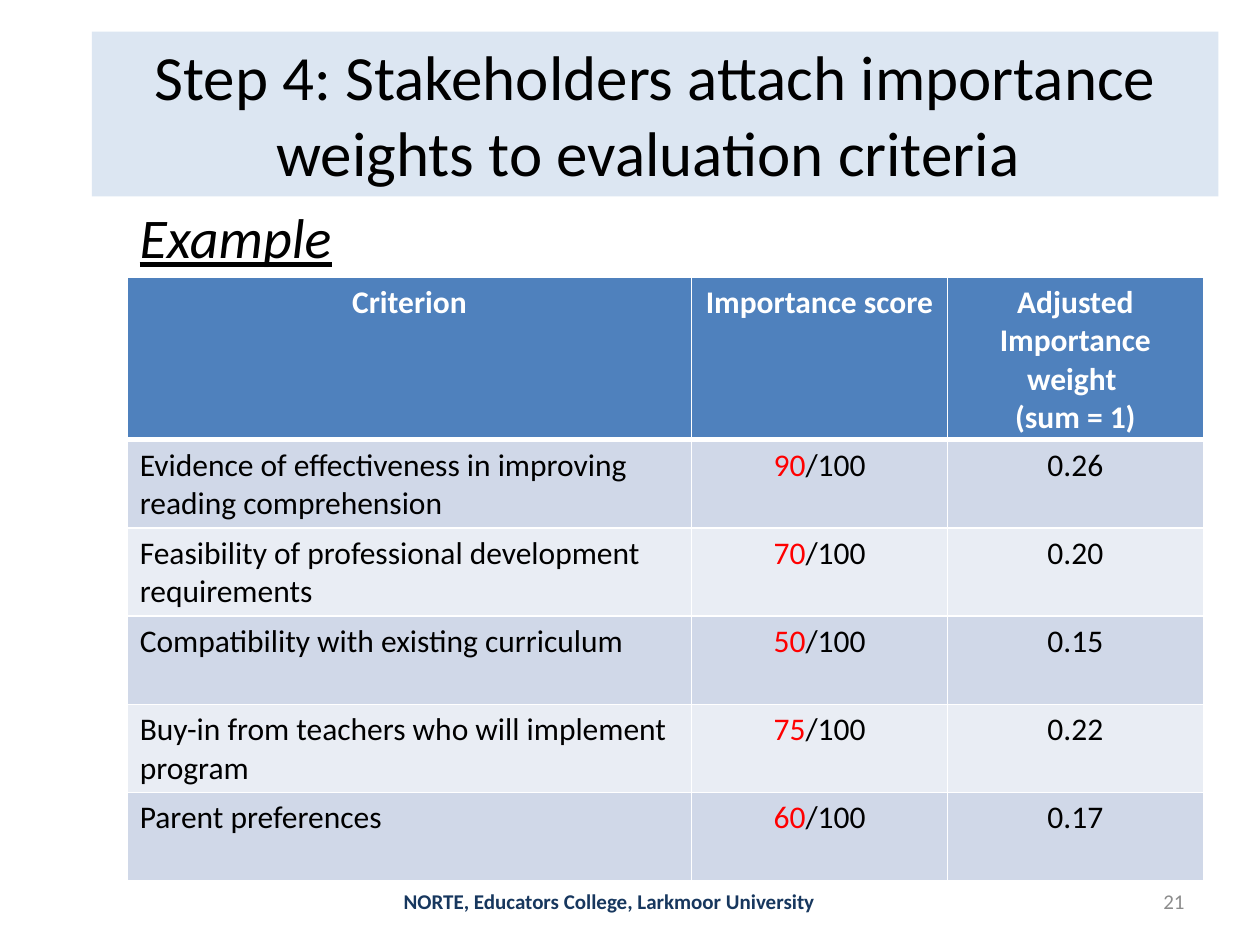
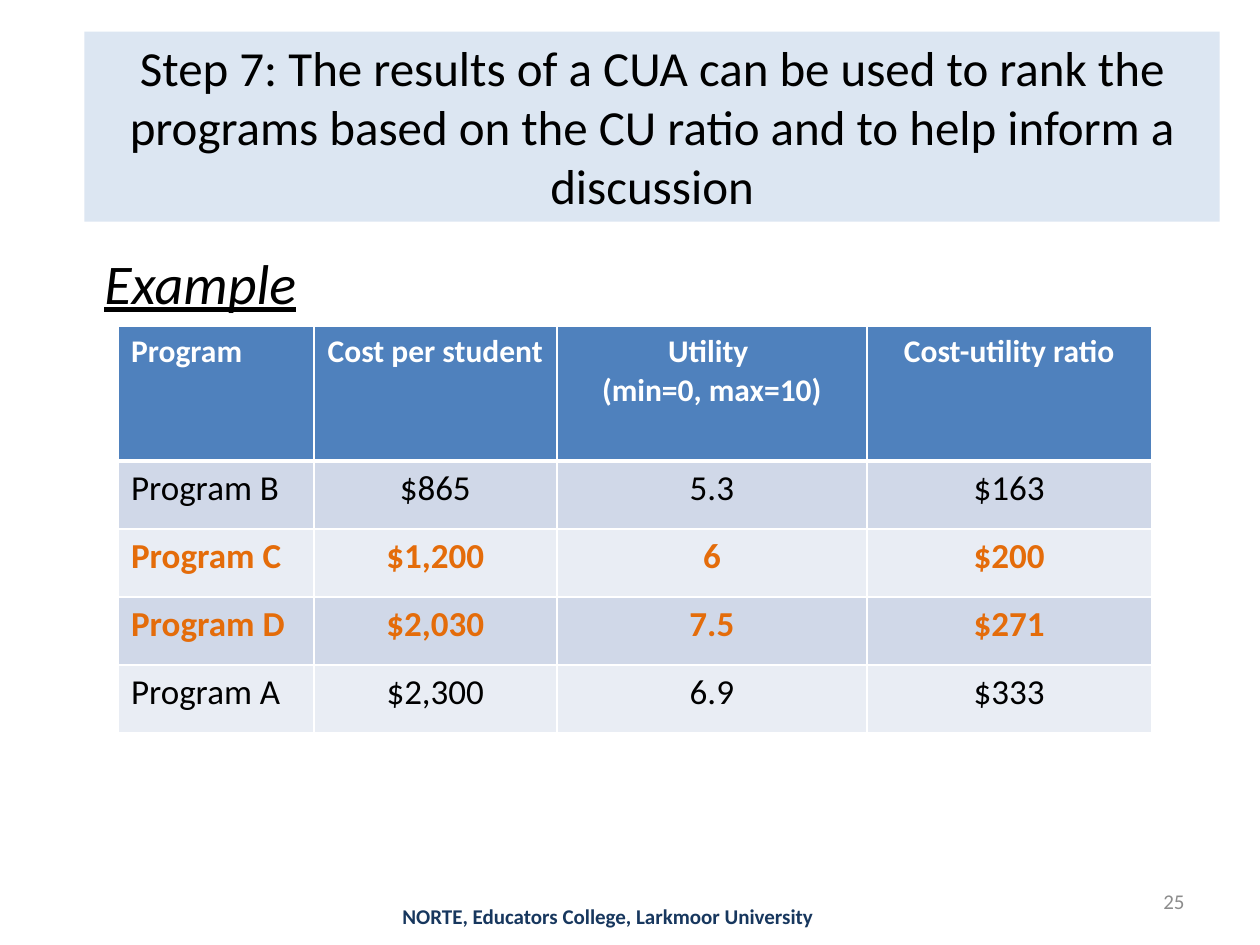
import pptx
import pptx.util
import pptx.dml.color
import pptx.enum.text
import pptx.oxml
import pptx.oxml.ns

Inches = pptx.util.Inches
ALIGN = pptx.enum.text.PP_ALIGN
ANCHOR = pptx.enum.text.MSO_ANCHOR
COLORS = {
    "band": "DCE6F2",
    "header": "4F81BD",
    "odd_row": "D0D8E8",
    "even_row": "E9EDF4",
    "white": "FFFFFF",
    "black": "000000",
    "score": "FF0000",
    "highlight": "E46C0A",
    "footer": "17375E",
    "number": "8C8C8C",
}
FOOTER = "NORTE, Educators College, Larkmoor University"
HEADER_RULE = (
    f'<a:lnB {pptx.oxml.ns.nsdecls("a")} w="38100"><a:solidFill>'
    f'<a:srgbClr val="{COLORS["white"]}"/></a:solidFill></a:lnB>'
)

slides = [
    {
        "title": "Step 4: Stakeholders attach importance weights to evaluation criteria ",
        "title_box": (0.73, 0.25, 8.94, 1.31),
        "title_size": 36,
        "example_box": (1.01, 1.56, 1.74, 0.64),
        "table_box": (1.01, 2.2, 8.54, 4.79),
        "columns": [4.48, 2.03, 2.03],
        "header_height": 1.29,
        "row_height": 0.7,
        "body_size": 18,
        "first_header_align": ALIGN.CENTER,
        "highlighted": [],
        "rows": [
            ["Criterion", "Importance score", "Adjusted Importance weight \n(sum = 1)"],
            ["Evidence of effectiveness in improving reading comprehension", "90/100", "0.26"],
            ["Feasibility of professional development requirements", "70/100", "0.20"],
            ["Compatibility with existing curriculum", "50/100", "0.15"],
            ["Buy-in from teachers who will implement program", "75/100", "0.22"],
            ["Parent preferences", "60/100", "0.17"],
        ],
        "footer_box": (3.09, 6.95, 3.49, 0.4),
        "number": "21",
    },
    {
        "title": "Step 7: The results of a CUA can be used to rank the programs based on the CU ratio and to help inform a discussion",
        "title_box": (0.67, 0.25, 9.01, 1.51),
        "title_size": 28,
        "example_box": (0.73, 1.92, 1.74, 0.64),
        "table_box": (0.94, 2.59, 8.2, 3.23),
        "columns": [1.55, 1.93, 2.46, 2.26],
        "header_height": 1.07,
        "row_height": 0.54,
        "body_size": 20,
        "first_header_align": ALIGN.LEFT,
        "highlighted": ["Program C", "Program D"],
        "rows": [
            ["Program", "Cost per student", "Utility \n(min=0, max=10)", "Cost-utility ratio"],
            ["Program B", "$865", "5.3", "$163"],
            ["Program C", "$1,200", "6", "$200"],
            ["Program D", "$2,030", "7.5", "$271"],
            ["Program A", "$2,300", "6.9", "$333"],
        ],
        "footer_box": (3.07, 7.19, 3.51, 0.16),
        "number": "25",
    },
]


def format_text(text_frame, size, color, align=ALIGN.LEFT, bold=False):
    for paragraph in text_frame.paragraphs:
        paragraph.alignment = align
        for run in paragraph.runs:
            run.font.name = "Calibri"
            run.font.size = pptx.util.Pt(size)
            run.font.bold = bold
            run.font.color.rgb = pptx.dml.color.RGBColor.from_string(COLORS[color])


def add_text(slide, box, text, anchor, wrap=True):
    shape = slide.shapes.add_textbox(*map(Inches, box))
    shape.text_frame.word_wrap = wrap
    shape.text_frame.vertical_anchor = anchor
    shape.text_frame.text = text
    return shape.text_frame


presentation = pptx.Presentation()
presentation.slide_width = Inches(10)
presentation.slide_height = Inches(7.5)

for content in slides:
    slide = presentation.slides.add_slide(presentation.slide_layouts[5])

    title = slide.shapes.title
    title.left, title.top, title.width, title.height = map(Inches, content["title_box"])
    title.fill.solid()
    title.fill.fore_color.rgb = pptx.dml.color.RGBColor.from_string(COLORS["band"])
    title.text_frame.text = content["title"]
    title.text_frame.vertical_anchor = ANCHOR.TOP
    title.text_frame.auto_size = pptx.enum.text.MSO_AUTO_SIZE.NONE
    format_text(title.text_frame, content["title_size"], "black", ALIGN.CENTER)

    rows = content["rows"]
    table = slide.shapes.add_table(
        len(rows), len(rows[0]), *map(Inches, content["table_box"])
    ).table
    for column, width in zip(table.columns, content["columns"]):
        column.width = Inches(width)
    for row_index, values in enumerate(rows):
        is_header = row_index == 0
        is_highlighted = values[0] in content["highlighted"]
        height = content["header_height"] if is_header else content["row_height"]
        table.rows[row_index].height = Inches(height)
        if is_header:
            fill, color, size = "header", "white", 18
        else:
            fill = "odd_row" if row_index % 2 else "even_row"
            color = "highlight" if is_highlighted else "black"
            size = content["body_size"]
        for column_index, value in enumerate(values):
            cell = table.cell(row_index, column_index)
            cell.margin_bottom = Inches(0.02)
            cell.fill.solid()
            cell.fill.fore_color.rgb = pptx.dml.color.RGBColor.from_string(COLORS[fill])
            if is_header:
                cell._tc.get_or_add_tcPr().insert(0, pptx.oxml.parse_xml(HEADER_RULE))
            align = ALIGN.CENTER
            if column_index == 0:
                align = content["first_header_align"] if is_header else ALIGN.LEFT
            score, slash, maximum = value.partition("/")
            cell.text_frame.text = score
            if slash:
                cell.text_frame.paragraphs[0].add_run().text = slash + maximum
            format_text(cell.text_frame, size, color, align, is_header or is_highlighted)
            if slash:
                score_run = cell.text_frame.paragraphs[0].runs[0]
                score_run.font.color.rgb = pptx.dml.color.RGBColor.from_string(COLORS["score"])

    example = add_text(slide, content["example_box"], "Example", ANCHOR.TOP, wrap=False)
    format_text(example, 32, "black")
    example_font = example.paragraphs[0].runs[0].font
    example_font.italic = True
    example_font.underline = True

    footer = add_text(slide, content["footer_box"], FOOTER, ANCHOR.MIDDLE)
    format_text(footer, 12, "footer", ALIGN.CENTER, bold=True)
    number = add_text(slide, (7.17, 6.95, 2.33, 0.4), content["number"], ANCHOR.MIDDLE)
    format_text(number, 12, "number", ALIGN.RIGHT)

presentation.save("out.pptx")
